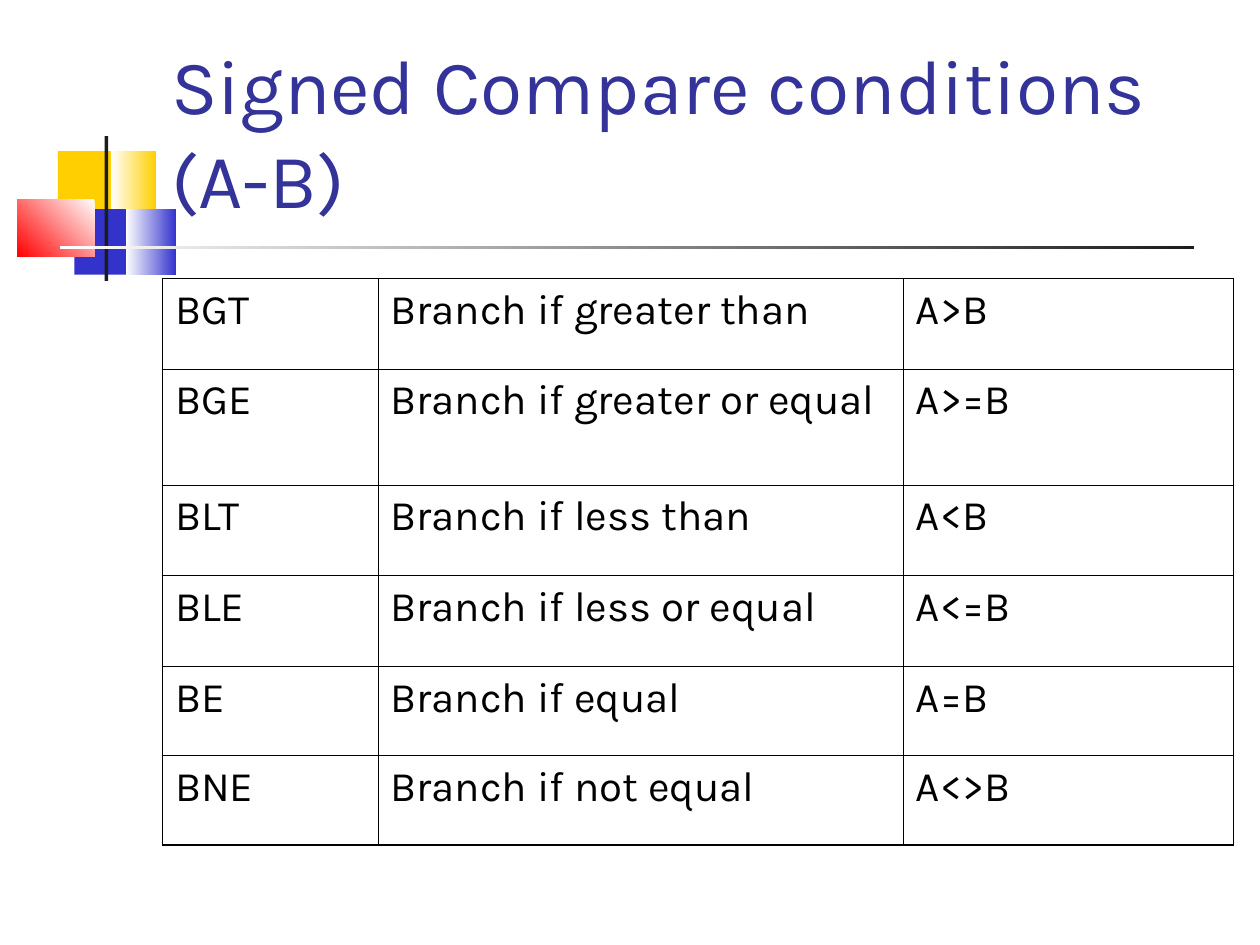
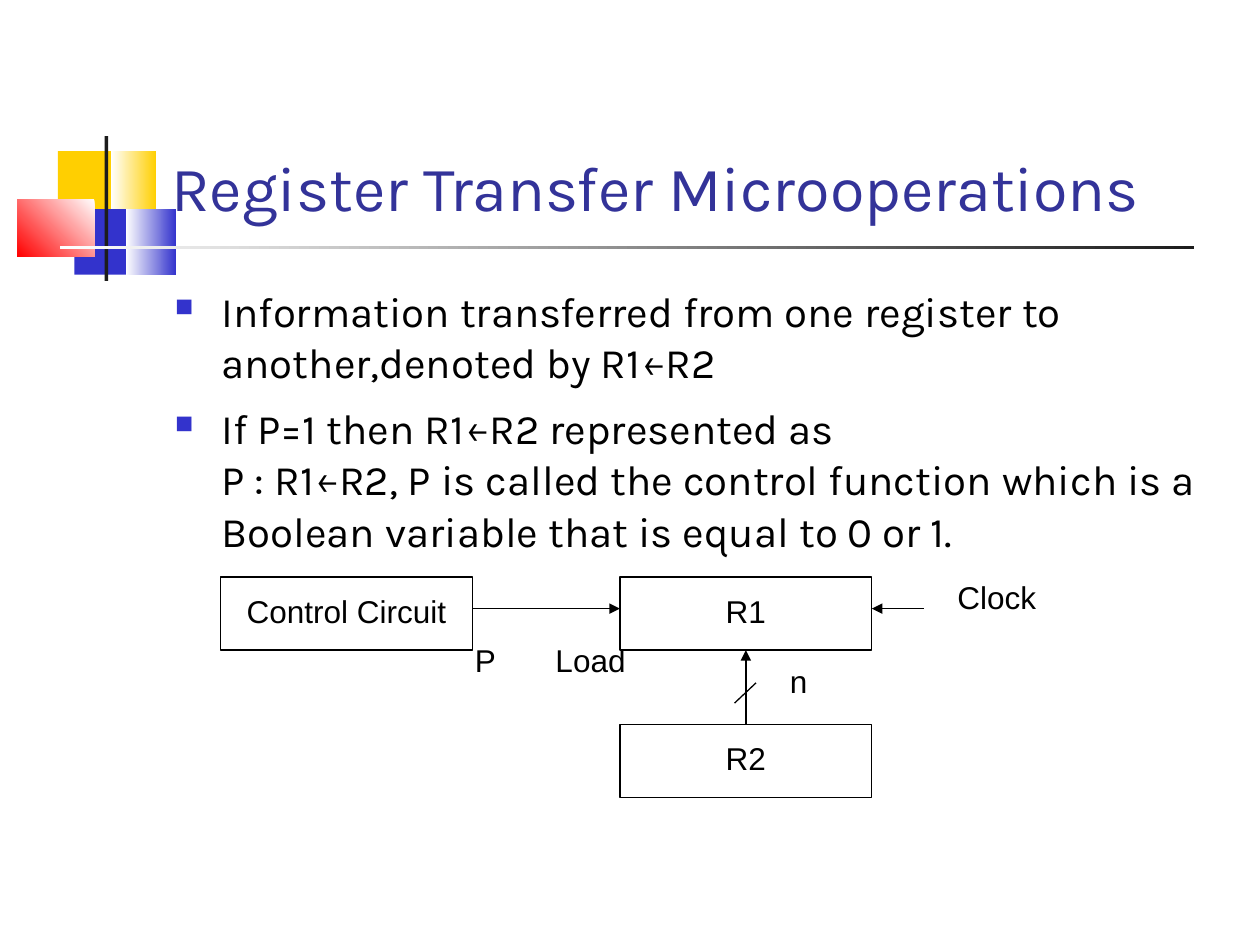
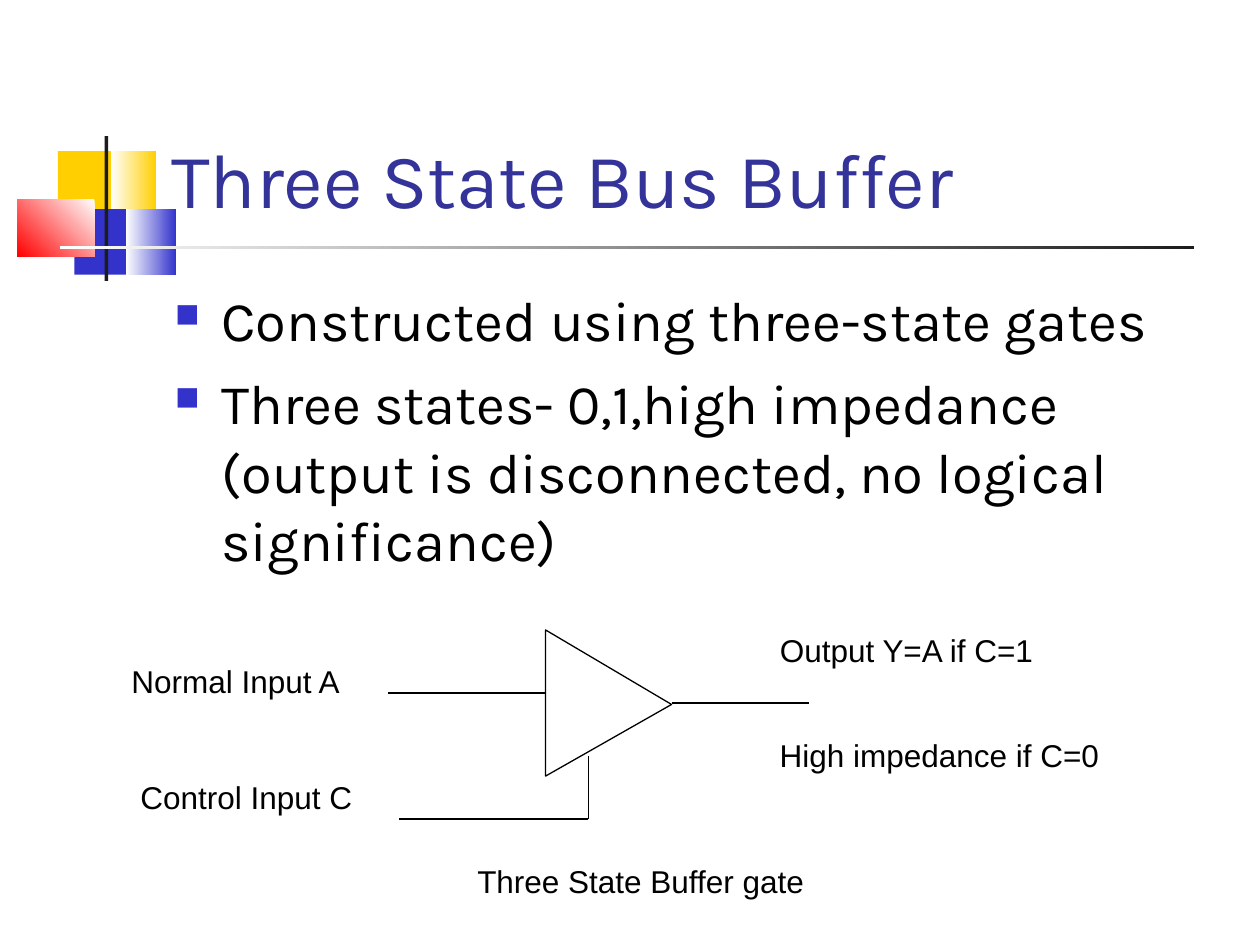
from lxml.etree import SubElement
from pptx import Presentation
from pptx.dml.color import RGBColor
from pptx.enum.shapes import MSO_CONNECTOR, MSO_SHAPE
from pptx.enum.text import MSO_ANCHOR, PP_ALIGN
from pptx.oxml.ns import qn
from pptx.util import Inches, Pt

BLACK = RGBColor(0x00, 0x00, 0x00)
WHITE = RGBColor(0xFF, 0xFF, 0xFF)
YELLOW = RGBColor(0xFF, 0xCF, 0x01)
BLUE = RGBColor(0x33, 0x33, 0xCC)
RED = RGBColor(0xFF, 0x00, 0x00)
CHARCOAL = RGBColor(0x1C, 0x1C, 0x1C)
TITLE_BLUE = RGBColor(0x33, 0x33, 0x99)

BODY_FONT, ARROW_FONT, LABEL_FONT = "Karla", "Montserrat", "Arial"
BODY_SPACING, LABEL_SPACING = 1.02, 0.87
BULLET_INDENT = Inches(0.37)
THIN, THICK = Pt(0.45), Pt(1.08)

TITLE_BOX = (1.26, 0.23, 8.52, 1.6)
BODY_BOX = (1.29, 2.21, 8.5, 4.5)

# left, top, width, height, gradient start and end, counter-clockwise angle
ORNAMENT = [
    (0.46, 1.2, 0.48, 0.52, YELLOW, None, 0),
    (0.88, 1.2, 0.36, 0.52, YELLOW, WHITE, 180),
    (0.59, 1.66, 0.46, 0.52, BLUE, None, 0),
    (1, 1.66, 0.4, 0.52, BLUE, WHITE, 180),
    (0.14, 1.58, 0.61, 0.46, WHITE, RED, 225),
    (0.83, 1.08, 0.03, 1.15, CHARCOAL, None, 0),
    (0.48, 1.95, 9, 0.03, CHARCOAL, WHITE, 180),
]

CONDITIONS = [
    ("BGT", "Branch if greater than", "A>B"),
    ("BGE", "Branch if greater or equal", "A>=B"),
    ("BLT", "Branch if less than", "A<B"),
    ("BLE", "Branch if less or equal", "A<=B"),
    ("BE", "Branch if equal", "A=B"),
    ("BNE", "Branch if not equal", "A<>B"),
]


def inches(*lengths):
    return [Inches(length) for length in lengths]


def style_run(span, size, color=BLACK, font=BODY_FONT):
    span.font.size = Pt(size)
    span.font.color.rgb = color
    span.font.name = font


def write_line(frame, text, size, color=BLACK, font=BODY_FONT, spacing=BODY_SPACING):
    """Fill a text frame with one evenly styled paragraph."""
    frame.text = text
    para = frame.paragraphs[0]
    para.line_spacing = spacing
    style_run(para.runs[0], size, color, font)
    return para


def add_ornament(page):
    for *box, start, end, angle in ORNAMENT:
        block = page.shapes.add_shape(MSO_SHAPE.RECTANGLE, *inches(*box))
        block.shadow.inherit = False
        block.line.fill.background()
        if end is None:
            block.fill.solid()
            block.fill.fore_color.rgb = start
        else:
            block.fill.gradient()
            block.fill.gradient_angle = angle
            for stop, color in zip(block.fill.gradient_stops, (start, end)):
                stop.color.rgb = color


def add_page(deck, title, size):
    page = deck.slides.add_slide(deck.slide_layouts[6])
    add_ornament(page)
    frame = page.shapes.add_textbox(*inches(*TITLE_BOX)).text_frame
    frame.word_wrap = True
    frame.vertical_anchor = MSO_ANCHOR.BOTTOM
    write_line(frame, title, size, TITLE_BLUE)
    return page


def set_bullet(para):
    properties = para._p.get_or_add_pPr()
    properties.set("marL", str(BULLET_INDENT))
    properties.set("indent", str(-BULLET_INDENT))
    color = SubElement(properties, qn("a:buClr"))
    SubElement(color, qn("a:srgbClr"), val=str(BLUE))
    SubElement(properties, qn("a:buSzPct"), val="60000")
    SubElement(properties, qn("a:buChar"), char="■")


def add_bullets(page, box, items, size):
    """Each item is a list of pieces; "←" takes its own font and "\\n" breaks the line."""
    frame = page.shapes.add_textbox(*inches(*box)).text_frame
    frame.word_wrap = True
    for index, pieces in enumerate(items):
        para = frame.add_paragraph() if index else frame.paragraphs[0]
        set_bullet(para)
        para.line_spacing = BODY_SPACING
        if index:
            para.space_before = Pt(8)
        for piece in pieces:
            if piece == "\n":
                para.add_line_break()
                continue
            span = para.add_run()
            span.text = piece
            style_run(span, size, font=ARROW_FONT if piece == "←" else BODY_FONT)


def set_borders(cell, **widths):
    properties = cell._tc.get_or_add_tcPr()
    for side, width in widths.items():
        border = SubElement(properties, qn(f"a:ln{side}"), w=str(width))
        fill = SubElement(border, qn("a:solidFill"))
        SubElement(fill, qn("a:srgbClr"), val=str(BLACK))


def add_condition_table(page, box):
    last_row, last_column = len(CONDITIONS) - 1, len(CONDITIONS[0]) - 1
    table = page.shapes.add_table(last_row + 1, last_column + 1, *inches(*box)).table
    table.first_row = table.horz_banding = False
    for column, width in zip(table.columns, (1.71, 4.17, 2.62)):
        column.width = Inches(width)
    for row, height in zip(table.rows, (0.72, 0.92, 0.72, 0.72, 0.71, 0.71)):
        row.height = Inches(height)
    for r, condition in enumerate(CONDITIONS):
        for c, text in enumerate(condition):
            cell = table.cell(r, c)
            write_line(cell.text_frame, text, 24)
            set_borders(
                cell,
                L=THIN if c else THICK,
                R=THICK if c == last_column else THIN,
                T=THIN if r else THICK,
                B=THICK if r == last_row else THIN,
            )
            cell.fill.background()


def add_outline(shapes, kind, *box):
    shape = shapes.add_shape(kind, *inches(*box))
    shape.shadow.inherit = False
    shape.fill.background()
    shape.line.color.rgb = BLACK
    shape.line.width = Pt(0.75)
    return shape


def add_register(shapes, text, left, top):
    register = add_outline(shapes, MSO_SHAPE.RECTANGLE, left, top, 2, 0.58)
    frame = register.text_frame
    frame.word_wrap = False
    frame.vertical_anchor = MSO_ANCHOR.MIDDLE
    write_line(frame, text, 18, font=LABEL_FONT, spacing=LABEL_SPACING).alignment = PP_ALIGN.CENTER
    return register


def add_wire(shapes, start_x, start_y, end_x, end_y, arrow=False):
    wire = shapes.add_connector(
        MSO_CONNECTOR.STRAIGHT, *inches(start_x, start_y, end_x, end_y))
    wire.line.color.rgb = BLACK
    wire.line.width = Pt(0.75)
    if arrow:
        SubElement(wire.line._get_or_add_ln(), qn("a:tailEnd"), type="triangle")
    SubElement(wire._element.spPr, qn("a:effectLst"))
    return wire


def add_label(shapes, text, left, top, width, centred=False):
    frame = shapes.add_textbox(*inches(left, top, width, 0.36)).text_frame
    frame.word_wrap = not centred
    para = write_line(frame, text, 18, font=LABEL_FONT, spacing=LABEL_SPACING)
    para.alignment = PP_ALIGN.CENTER if centred else PP_ALIGN.LEFT
    return para


def add_transfer_diagram(page, left, top):
    shapes = page.shapes
    register_left = left + 3.17
    wire_y = top + 0.25
    add_register(shapes, "Control Circuit", left, top)
    target = add_register(shapes, "R1", register_left, top)
    source = add_register(shapes, "R2", register_left, top + 1.17)

    add_wire(shapes, left + 2, wire_y, register_left, wire_y, arrow=True)
    add_wire(shapes, left + 5.58, wire_y, register_left + 2, wire_y, arrow=True)
    middle = register_left + 1
    transfer = add_wire(shapes, middle, top + 1.17, middle, top + 0.58, arrow=True)
    transfer.begin_connect(source, 0)
    transfer.end_connect(target, 2)
    add_wire(shapes, left + 4.08, top + 1, left + 4.25, top + 0.84)

    load = add_label(shapes, "P\tLoad", left + 1.92, top + 0.5, 1.42)
    tabs = SubElement(load._p.get_or_add_pPr(), qn("a:tabLst"))
    SubElement(tabs, qn("a:tab"), pos=str(Inches(0.64)), algn="l")
    add_label(shapes, "Clock", left + 5.75, top, 1.42)
    add_label(shapes, "n", left + 4.42, top + 0.67, 1.42)


def add_buffer_diagram(page, left, top):
    shapes = page.shapes.add_group_shape().shapes
    gate = add_outline(
        shapes, MSO_SHAPE.ISOSCELES_TRIANGLE, left + 3.42, top + 0.08, 1.16, 1)
    gate.rotation = 90
    gate.adjustments[0] = 0.51
    for start_x, start_y, end_x, end_y in [
        (2.25, 0.5, 3.5, 0.5),
        (2.34, 1.5, 3.84, 1.5),
        (3.84, 1.5, 3.84, 1),
        (4.5, 0.58, 5.59, 0.58),
    ]:
        add_wire(shapes, left + start_x, top + start_y, left + end_x, top + end_y)
    for text, x, y, width in [
        ("Normal Input A", 0, 0.25, 2.08),
        ("Control Input C", 0, 1.17, 2.25),
        ("Output Y=A if C=1", 5.25, 0, 2.23),
        ("High impedance if C=0", 5.25, 0.83, 2.75),
        ("Three State Buffer gate", 1.92, 1.83, 4.67),
    ]:
        add_label(shapes, text, left + x, top + y, width, centred=True)


def main():
    deck = Presentation()
    deck.slide_width, deck.slide_height = inches(10, 7.5)

    page = add_page(deck, "Signed Compare conditions (A-B)", 44)
    add_condition_table(page, BODY_BOX)

    page = add_page(deck, "Register Transfer Microoperations", 36)
    add_bullets(page, BODY_BOX, [
        ["Information transferred from one register to another,denoted by R1", "←", "R2"],
        ["If P=1 then R1", "←", "R2 represented as", "\n", "P : R1", "←",
         "R2, P is called the control function which is a Boolean variable"
         " that is equal to 0 or 1."],
    ], 24)
    add_transfer_diagram(page, 1.75, 4.58)

    page = add_page(deck, "Three State Bus Buffer", 44)
    add_bullets(page, BODY_BOX, [
        ["Constructed using three-state gates"],
        ["Three states- 0,1,high impedance (output is disconnected, no logical significance)"],
    ], 32)
    add_buffer_diagram(page, 0.83, 5)

    deck.save("out.pptx")


if __name__ == "__main__":
    main()
